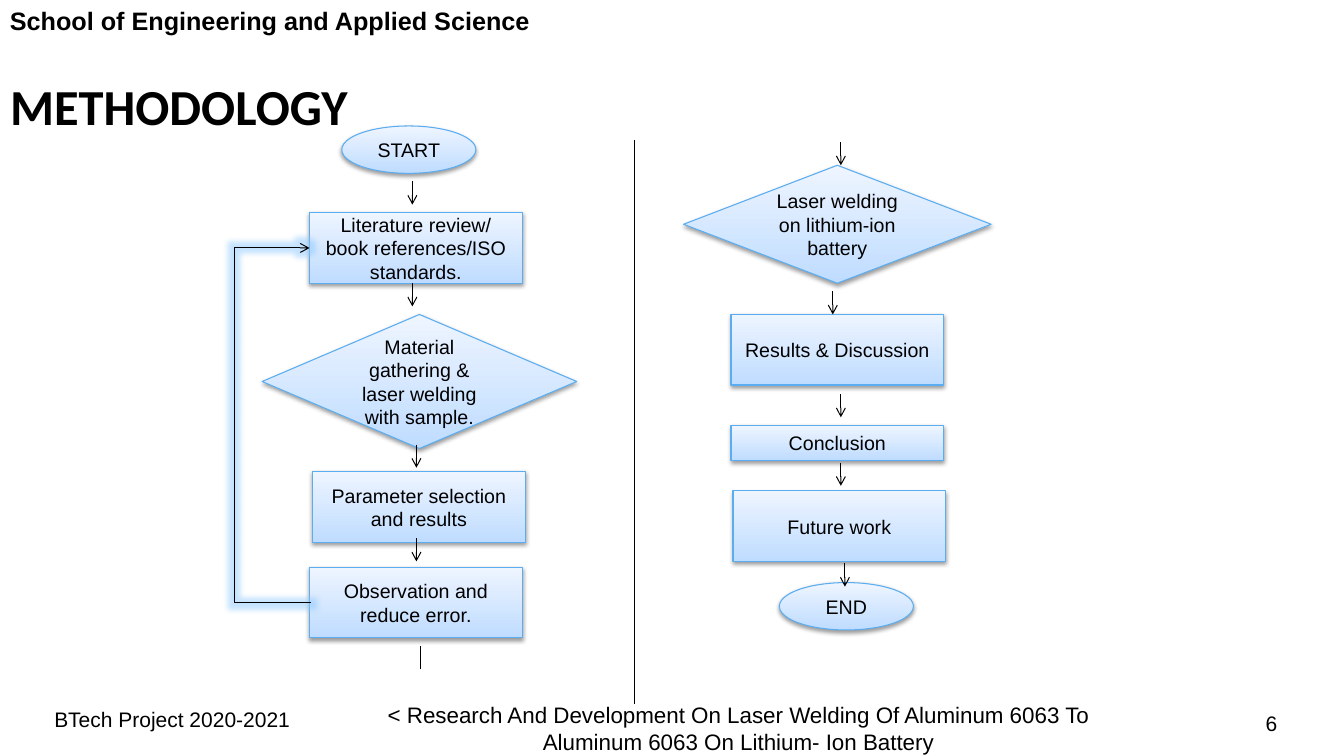
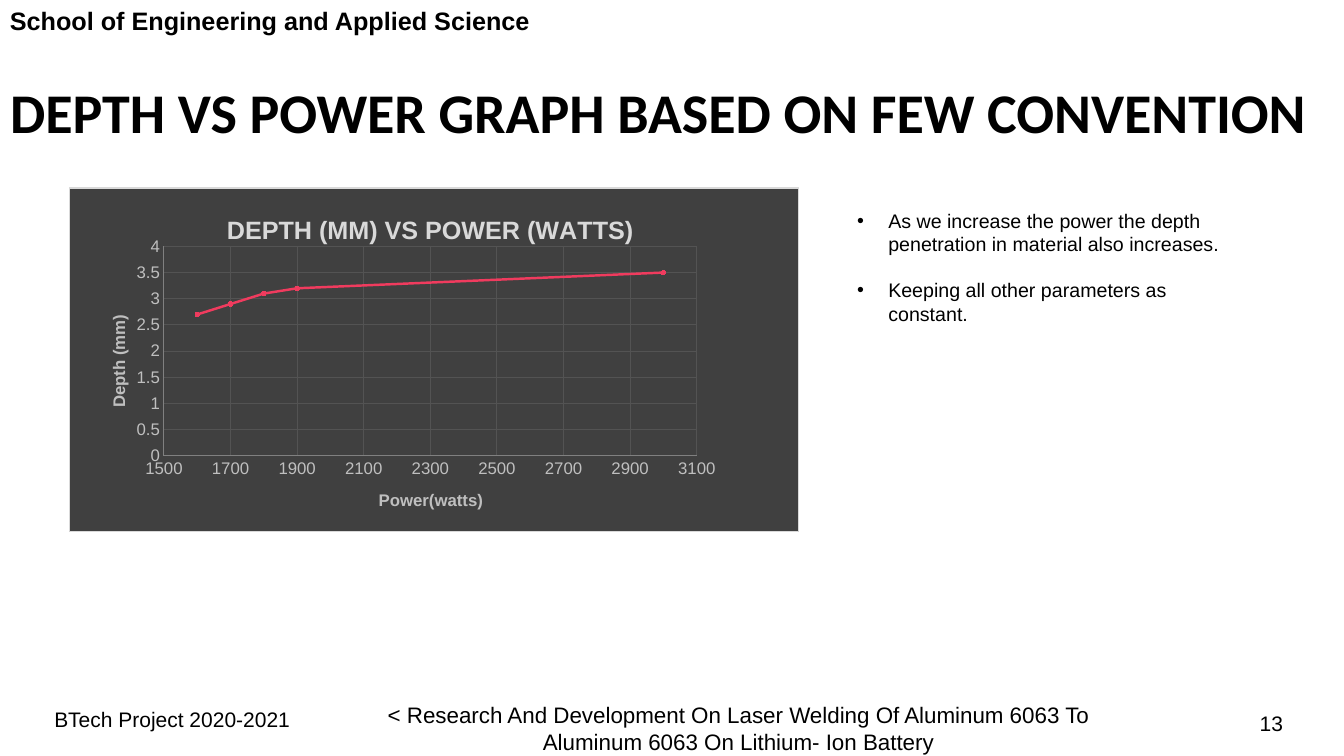
"""Build two project slides: a method flowchart and a depth chart."""
from typing import Any, NamedTuple

from lxml import etree
from pptx import Presentation, util as u
from pptx.chart import data as cd
from pptx.dml import color as col
from pptx.enum import chart as ch, shapes as sh, text as tx
from pptx.oxml import ns

INK = {
    "black": "000000", "edge": "5AADF0", "low": "BFDCFF", "high": "EEF5FF",
    "glow": "8CC8FF", "panel": "404040", "frame": "D9D9D9", "label": "BFBFBF",
    "axis": "808080", "grid": "535353", "curve": "F03B5E", "dot": "F6899E",
}
MID = tx.MSO_ANCHOR.MIDDLE
LEFT, CENTER = tx.PP_ALIGN.LEFT, tx.PP_ALIGN.CENTER
OVAL = sh.MSO_SHAPE.OVAL
RECT = sh.MSO_SHAPE.RECTANGLE
KITE = sh.MSO_SHAPE.DIAMOND
WIDE, TALL = 2.11, 0.7


class Step(NamedTuple):
    text: str
    kind: Any
    x: float
    y: float
    w: float = WIDE
    h: float = TALL


class Rule(NamedTuple):
    x: float
    y: float
    size: float = 0.23
    tip: bool = True


STEPS = [
    Step("START", OVAL, 3.39, 1.25, 1.33, 0.47),
    Step("Literature review/ book references/ISO standards.", RECT, 3.07, 2.11),
    Step("Material gathering & laser welding with sample.", KITE, 2.6, 3.12, 3.12, 1.33),
    Step("Parameter selection and results", RECT, 3.1, 4.68),
    Step("Observation and reduce error.", RECT, 3.07, 5.63),
    Step("Laser welding on lithium-ion battery", KITE, 6.78, 1.64, 3.05, 1.17),
    Step("Results & Discussion", RECT, 7.25, 3.12),
    Step("Conclusion", RECT, 7.25, 4.22, WIDE, 0.35),
    Step("Future work", RECT, 7.27, 4.87),
    Step("END", OVAL, 7.73, 5.78, 1.33, 0.47),
]
RULES = [
    Rule(4.09, 1.8), Rule(4.09, 2.81), Rule(4.13, 4.41), Rule(4.13, 5.34),
    Rule(4.17, 6.41, tip=False), Rule(6.29, 1.39, 5.59, False),
    Rule(8.34, 1.41), Rule(8.26, 2.89), Rule(8.34, 3.91),
    Rule(8.34, 4.59), Rule(8.38, 5.59),
]
POINTS = [(3000, 3.5), (1900, 3.2), (1800, 3.1), (1700, 2.9), (1600, 2.7)]
NOTES = [
    "As we increase the power the depth penetration in material also increases.",
    "Keeping all other parameters as constant.",
]


def rgb(name: str) -> col.RGBColor:
    return col.RGBColor.from_string(INK[name])


def sub(node: Any, tag: str, **attrs: str) -> Any:
    return etree.SubElement(node, ns.qn(tag), attrs)


def tint(node: Any, name: str, alpha: int) -> None:
    paint = sub(node, "a:srgbClr", val=INK[name])
    sub(paint, "a:alpha", val=str(alpha * 1000))


def place(item: Any, x: float, y: float, w: float, h: float) -> None:
    item.left, item.top = u.Inches(x), u.Inches(y)
    item.width, item.height = u.Inches(w), u.Inches(h)


def write(frame: Any, text: str, *, size: float = 14, font: str = "Arial",
          ink: str = "black", bold: bool = False, align: Any = None,
          more: bool = False, lead: float | None = None, gap: float = 0,
          bullet: bool = False) -> None:
    para = frame.add_paragraph() if more else frame.paragraphs[0]
    para.text = text
    if align is not None:
        para.alignment = align
    if lead:
        para.line_spacing = lead
    para.space_before = u.Pt(gap)
    if bullet:
        props = para._p.get_or_add_pPr()
        props.set("marL", str(u.Inches(0.31)))
        props.set("indent", str(-u.Inches(0.31)))
        sub(props, "a:buFont", typeface="Arial")
        sub(props, "a:buChar", char="•")
    face = para.font
    face.size, face.name, face.bold = u.Pt(size), font, bold
    face.color.rgb = rgb(ink)


def label(slide: Any, text: str, x: float, y: float, w: float, h: float, **fmt: Any) -> None:
    box = slide.shapes.add_textbox(*map(u.Inches, (x, y, w, h)))
    box.text_frame.word_wrap = True
    write(box.text_frame, text, **fmt)


def start(deck: Any, kind: int, title: str, y: float, h: float, size: float, num: int) -> Any:
    slide = deck.slides.add_slide(deck.slide_layouts[kind])
    head = slide.shapes.title
    place(head, 0, y, 13.33, h)
    head.text_frame.auto_size = tx.MSO_AUTO_SIZE.NONE
    head.text_frame.vertical_anchor = MID
    write(head.text_frame, title, size=size, font="Calibri", bold=True, align=LEFT, lead=0.85)
    label(slide, "School of Engineering and Applied Science", 0, 0, 7.22, 0.4, size=18, bold=True)
    label(slide, "BTech Project 2020-2021", 0.44, 6.96, 4.33, 0.35, size=15)
    label(slide, "< Research And Development On Laser Welding Of Aluminum 6063 To "
          "Aluminum 6063 On Lithium- Ion Battery", 3.44, 6.91, 7.77, 0.59, size=16, align=CENTER)
    label(slide, str(num), 12, 7, 1.22, 0.35, size=15, align=CENTER)
    return slide


def draw(slide: Any, step: Step) -> Any:
    box = slide.shapes.add_shape(step.kind, *map(u.Inches, step[2:]))
    box.fill.gradient()
    box.fill.gradient_angle = 90
    for stop, name in zip(box.fill.gradient_stops, ("low", "high")):
        stop.color.rgb = rgb(name)
    for stop, spot in zip(box.fill.gradient_stops, (0, 1)):
        stop.position = spot
    box.line.color.rgb, box.line.width = rgb("edge"), u.Pt(0.75)
    box.shadow.inherit = False
    fx = box._element.spPr.find(ns.qn("a:effectLst"))
    shade = sub(fx, "a:outerShdw", blurRad="40000", dist="20000", dir="5400000", rotWithShape="0")
    tint(shade, "black", 38)
    box.text_frame.vertical_anchor = MID
    write(box.text_frame, step.text, align=CENTER)
    return box


def style(line: Any, tip: bool) -> Any:
    line.line.color.rgb, line.line.width = rgb("black"), u.Pt(0.75)
    if tip:
        sub(line.line._get_or_add_ln(), "a:tailEnd", type="arrow")
    return sub(line._element.spPr, "a:effectLst")


def rule(slide: Any, item: Rule) -> None:
    ends = (item.x, item.y, item.x, item.y + item.size)
    line = slide.shapes.add_connector(sh.MSO_CONNECTOR.STRAIGHT, *map(u.Inches, ends))
    style(line, item.tip)


def loop(slide: Any, source: Any, goal: Any) -> None:
    line = slide.shapes.add_connector(sh.MSO_CONNECTOR.ELBOW, 0, 0, 0, 0)
    line.begin_connect(source, 1)
    line.end_connect(goal, 1)
    props = line._element.spPr
    turn = props.find(ns.qn("a:xfrm"))
    turn.flipH = turn.flipV = False
    turn.set("rot", "10800000")
    line.width = u.Inches(0.01)
    bends = props.find(ns.qn("a:prstGeom")).find(ns.qn("a:avLst"))
    sub(bends, "a:gd", name="adj1", fmla="val 7700000")
    tint(sub(style(line, True), "a:glow", rad=str(u.Inches(0.11))), "glow", 50)


def layout(node: Any, **spots: float) -> None:
    old = node.find(ns.qn("c:layout"))
    if old is not None:
        node.remove(old)
    form = etree.Element(ns.qn("c:layout"))
    hand = sub(form, "c:manualLayout")
    if "w" in spots:
        sub(hand, "c:layoutTarget", val="inner")
    for side in "xy":
        sub(hand, f"c:{side}Mode", val="edge")
    for side, spot in spots.items():
        sub(hand, f"c:{side}", val=str(spot))
    text = node.find(ns.qn("c:tx"))
    if text is None:
        node.insert(0, form)
    else:
        text.addnext(form)


def scale(axis: Any, low: float, high: float, unit: float, title: str, x: float, y: float) -> None:
    axis.minimum_scale, axis.maximum_scale, axis.major_unit = low, high, unit
    axis.major_tick_mark = axis.minor_tick_mark = ch.XL_TICK_MARK.NONE
    axis.has_major_gridlines = True
    for line, name in ((axis.format.line, "axis"), (axis.major_gridlines.format.line, "grid")):
        line.color.rgb, line.width = rgb(name), u.Pt(0.75)
    face = axis.tick_labels.font
    face.size, face.name, face.color.rgb = u.Pt(12), "Arial", rgb("label")
    write(axis.axis_title.text_frame, title, size=12, bold=True, ink="label")
    layout(axis.axis_title._element, x=x, y=y)


def graph(slide: Any) -> None:
    data = cd.XyChartData()
    row = data.add_series("Series 1")
    for watts, depth in POINTS:
        row.add_data_point(watts, depth)
    spot = map(u.Inches, (0.68, 1.86, 7.25, 3.42))
    chart = slide.shapes.add_chart(ch.XL_CHART_TYPE.XY_SCATTER_SMOOTH, *spot, data).chart
    chart.has_legend = False
    chart.font.size, chart.font.name = u.Pt(10), "Arial"
    chart.has_title = True
    write(chart.chart_title.text_frame, "DEPTH (MM) VS POWER (WATTS)", size=18, bold=True, ink="frame")
    layout(chart.chart_title._element, x=0.21, y=0.06)
    scale(chart.category_axis, 1500, 3100, 200, "Power(watts)", 0.42, 0.87)
    scale(chart.value_axis, 0, 4, 0.5, "Depth (mm)", 0.05, 0.36)
    plot = chart.plots[0]
    plot.vary_by_categories = False
    line = plot.series[0]
    line.smooth = True
    line.format.line.color.rgb, line.format.line.width = rgb("curve"), u.Pt(1.75)
    line.marker.style, line.marker.size = ch.XL_MARKER_STYLE.CIRCLE, 3
    line.marker.format.fill.solid()
    line.marker.format.fill.fore_color.rgb = rgb("dot")
    line.marker.format.line.color.rgb = rgb("curve")
    core = chart._chartSpace.find(ns.qn("c:chart"))
    layout(core.find(ns.qn("c:plotArea")), x=0.13, y=0.17, w=0.73, h=0.61)
    panel = etree.Element(ns.qn("c:spPr"))
    sub(sub(panel, "a:solidFill"), "a:srgbClr", val=INK["panel"])
    edge = sub(panel, "a:ln", w=str(u.Pt(0.75)))
    sub(sub(edge, "a:solidFill"), "a:srgbClr", val=INK["frame"])
    core.addnext(panel)


def main() -> None:
    deck = Presentation()
    deck.slide_width, deck.slide_height = u.Inches(13.33), u.Inches(7.5)

    flow = start(deck, 5, "METHODOLOGY", 0.8, 0.58, 36, 6)
    boxes = {step.text: draw(flow, step) for step in STEPS}
    for item in RULES:
        rule(flow, item)
    loop(flow, boxes[STEPS[4].text], boxes[STEPS[1].text])

    power = start(deck, 1, "DEPTH VS POWER GRAPH BASED ON FEW CONVENTION", 0.84, 0.63, 40, 13)
    graph(power)
    body = power.placeholders[1]
    place(body, 8.4, 2.02, 4.02, 1.28)
    body.text_frame.auto_size = tx.MSO_AUTO_SIZE.NONE
    for i, note in enumerate(NOTES):
        write(body.text_frame, note, more=i > 0, gap=16 * i, bullet=True)

    deck.save("out.pptx")


if __name__ == "__main__":
    main()
